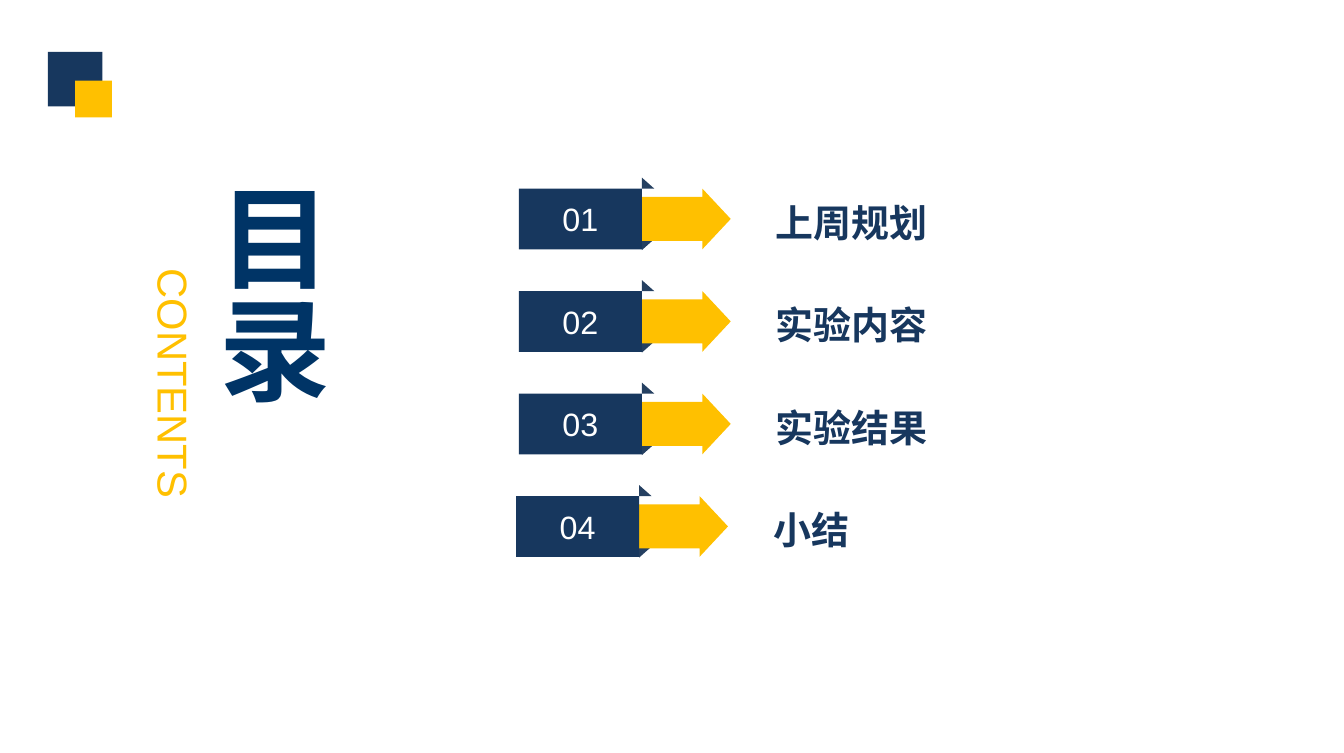
from pptx import Presentation
from pptx.dml.color import RGBColor
from pptx.enum.shapes import MSO_SHAPE
from pptx.enum.text import MSO_ANCHOR, MSO_AUTO_SIZE, PP_ALIGN
from pptx.util import Inches, Pt

RECT = MSO_SHAPE.RECTANGLE
ARROW = MSO_SHAPE.RIGHT_ARROW
TRIANGLE = MSO_SHAPE.RIGHT_TRIANGLE
TOP, MIDDLE = MSO_ANCHOR.TOP, MSO_ANCHOR.MIDDLE
LEFT, CENTER = PP_ALIGN.LEFT, PP_ALIGN.CENTER
NO_AUTOFIT = MSO_AUTO_SIZE.NONE

NAVY = RGBColor(0x17, 0x37, 0x5E)
FOLD = RGBColor(0x25, 0x40, 0x61)
TITLE_BLUE = RGBColor(0x00, 0x34, 0x66)
GOLD = RGBColor(0xFF, 0xC0, 0x00)
WHITE = RGBColor(0xFF, 0xFF, 0xFF)

FONT = "Arial"
TOPICS = ["上周规划", "实验内容", "实验结果", "小结"]
ROW_LEFTS = [3.8, 3.8, 3.8, 3.78]
ROW_TOP, ROW_STEP = 1.38, 0.75


def set_text(sp, text, size, color, bold=False, align=CENTER, anchor=MIDDLE,
             lang="en-US"):
    tf = sp.text_frame
    tf.word_wrap = True
    tf.auto_size = NO_AUTOFIT
    tf.vertical_anchor = anchor
    tf.margin_left = tf.margin_right = tf.margin_top = tf.margin_bottom = 0
    p = tf.paragraphs[0]
    p.alignment = align
    r = p.add_run()
    r.text = text
    r.font.name = FONT
    r.font.size = Pt(size)
    r.font.bold = bold
    r.font.color.rgb = color
    r._r.get_or_add_rPr().set("lang", lang)


def add_block(s, kind, left, top, width, height, fill):
    sp = s.shapes.add_shape(kind, Inches(left), Inches(top),
                            Inches(width), Inches(height))
    sp.shadow.inherit = False
    sp.fill.solid()
    sp.fill.fore_color.rgb = fill
    sp.line.fill.background()
    return sp


def add_label(s, left, top, width, height, text, **style):
    sp = s.shapes.add_textbox(Inches(left), Inches(top),
                              Inches(width), Inches(height))
    set_text(sp, text, **style)
    return sp


def add_corner_mark(s, left, top):
    add_block(s, RECT, left, top, 0.4, 0.4, NAVY)
    add_block(s, RECT, left + 0.2, top + 0.21, 0.27, 0.27, GOLD)


def add_heading(s, left, top, width, height):
    title = s.shapes.title
    title.left, title.top = Inches(left), Inches(top)
    title.width, title.height = Inches(width), Inches(height)
    set_text(title, "目录", size=59, color=TITLE_BLUE, bold=True, lang="zh-CN")
    title.text_frame._txBody.bodyPr.set("vert", "eaVert")
    subtitle = add_label(s, left - 1.48, top + 1.29, 2.51, 0.37, "CONTENTS",
                         size=22, color=GOLD, anchor=TOP)
    subtitle.rotation = 90


def add_topic(s, left, top, number, topic):
    tag_width, tag_height = 0.9, 0.445
    fold_left = left + tag_width
    lower_fold = add_block(s, TRIANGLE, fold_left, top + 0.37, 0.09, 0.08, FOLD)
    lower_fold._element.spPr.xfrm.set("flipV", "1")
    add_block(s, TRIANGLE, fold_left, top - 0.08, 0.09, 0.08, FOLD)
    arrow = add_block(s, ARROW, left + 0.23, top, 1.32, tag_height, GOLD)
    arrow.adjustments[0] = 0.726
    arrow.adjustments[1] = 0.468
    tag = add_block(s, RECT, left, top, tag_width, tag_height, NAVY)
    set_text(tag, f"{number:02d}", size=17, color=WHITE)
    add_label(s, left + 1.88, top + 0.08, 2.52, 0.33, topic, size=20,
              color=NAVY, bold=True, align=LEFT, lang="zh-CN")


def main():
    prs = Presentation()
    prs.slide_width, prs.slide_height = Inches(9.84), Inches(5.51)
    s = prs.slides.add_slide(prs.slide_layouts[5])
    add_corner_mark(s, 0.35, 0.38)
    add_heading(s, 1.5, 1.33, 0.98, 2.89)
    for i, (left, topic) in enumerate(zip(ROW_LEFTS, TOPICS)):
        add_topic(s, left, ROW_TOP + i * ROW_STEP, i + 1, topic)
    prs.save("out.pptx")


if __name__ == "__main__":
    main()
